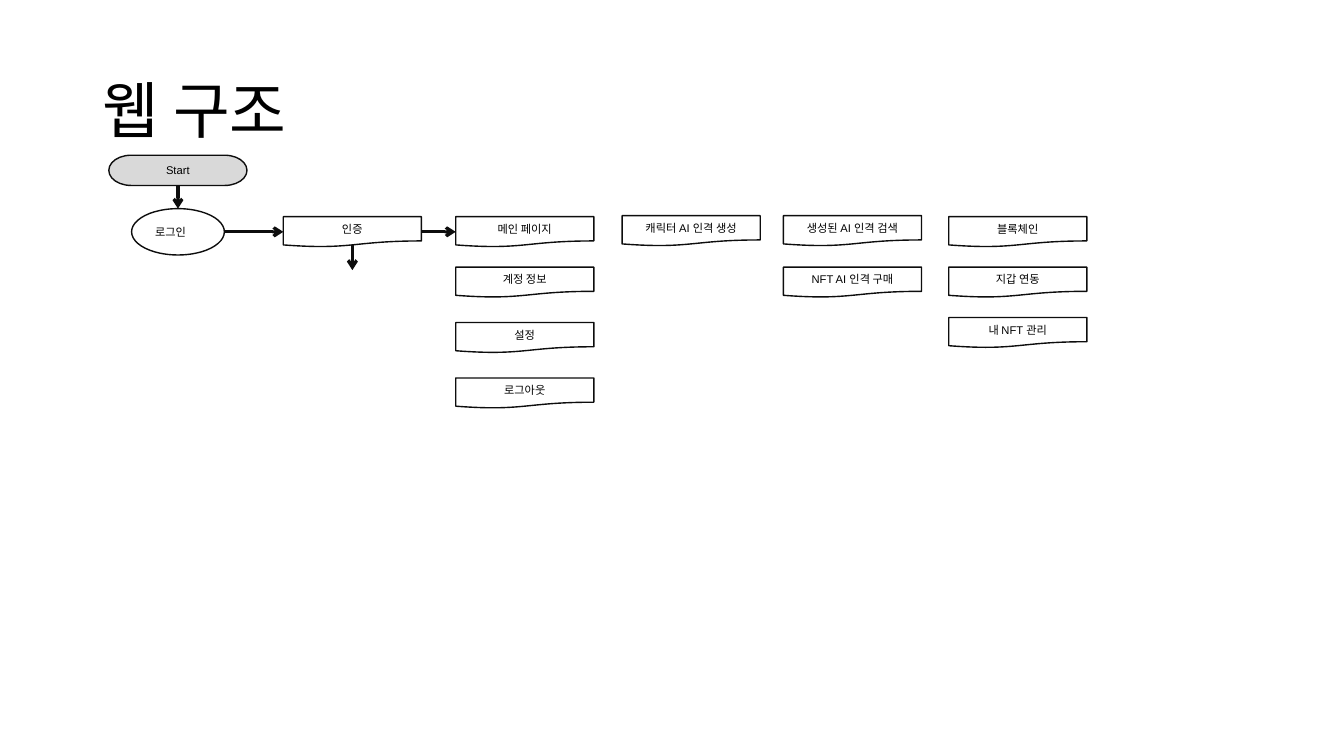
from dataclasses import dataclass

from lxml import etree
from pptx import Presentation
from pptx.dml.color import RGBColor
from pptx.enum.shapes import MSO_CONNECTOR, MSO_SHAPE
from pptx.enum.text import MSO_ANCHOR, PP_ALIGN
from pptx.oxml.ns import qn
from pptx.util import Inches, Pt

STRAIGHT = MSO_CONNECTOR.STRAIGHT
TERMINATOR = MSO_SHAPE.FLOWCHART_TERMINATOR
CIRCLE = MSO_SHAPE.FLOWCHART_CONNECTOR
DOCUMENT = MSO_SHAPE.FLOWCHART_DOCUMENT
MIDDLE = MSO_ANCHOR.MIDDLE
LEFT = PP_ALIGN.LEFT
CENTER = PP_ALIGN.CENTER
TOP_SITE, LEFT_SITE, BOTTOM_SITE, RIGHT_SITE = range(4)


@dataclass(frozen=True)
class Theme:
    ink: RGBColor = RGBColor(0, 0, 0)
    outline: RGBColor = RGBColor(0x0D, 0x0D, 0x0D)
    paper: RGBColor = RGBColor(255, 255, 255)
    start_fill: RGBColor = RGBColor(0xD9, 0xD9, 0xD9)
    latin_font: str = "Arial"
    korean_font: str = "Noto Sans CJK KR"
    title_size: float = 44
    label_size: float = 8
    border_width: float = 1
    arrow_width: float = 2.25


THEME = Theme()
NODE_WIDTH, NODE_HEIGHT = 1.37, 0.3
PAGE_COLUMNS = [
    (3.44, [(0.61, "메인 페이지"), (1.11, "계정 정보"), (1.66, "설정"), (2.21, "로그아웃")]),
    (5.09, [(0.6, "캐릭터 AI 인격 생성")]),
    (6.69, [(0.6, "생성된 AI 인격 검색"), (1.11, "NFT AI 인격 구매")]),
    (8.33, [(0.61, "블록체인"), (1.11, "지갑 연동"), (1.61, "내 NFT 관리")]),
]


def write_text(shape, text, size, font, align):
    frame = shape.text_frame
    frame.word_wrap = True
    frame.vertical_anchor = MIDDLE
    para = frame.paragraphs[0]
    para.alignment = align
    span = para.add_run()
    span.text = text
    span.font.size = Pt(size)
    span.font.name = font
    span.font.color.rgb = THEME.ink
    east_asian = etree.Element(qn("a:ea"), typeface=THEME.korean_font)
    span.font._element.find(qn("a:latin")).addnext(east_asian)
    return para


def add_title(page, box, text):
    title = page.shapes.add_textbox(*map(Inches, box))
    para = write_text(title, text, THEME.title_size, THEME.korean_font, LEFT)
    para.line_spacing = 0.9


def add_node(page, kind, box, text, fill=THEME.paper, font=THEME.latin_font, align=CENTER):
    node = page.shapes.add_shape(kind, *map(Inches, box))
    node.shadow.inherit = False
    node.fill.solid()
    node.fill.fore_color.rgb = fill
    node.line.color.rgb = THEME.outline
    node.line.width = Pt(THEME.border_width)
    write_text(node, text, THEME.label_size, font, align)
    return node


def add_arrow(page, start, end, source=None, target=None):
    arrow = page.shapes.add_connector(STRAIGHT, *map(Inches, start + end))
    if source:
        arrow.begin_connect(*source)
    if target:
        arrow.end_connect(*target)
    arrow.line.color.rgb = THEME.outline
    arrow.line.width = Pt(THEME.arrow_width)
    etree.SubElement(arrow.line._get_or_add_ln(), qn("a:tailEnd"), type="arrow")
    etree.SubElement(arrow._element.spPr, qn("a:effectLst"))


def add_page_columns(page, left, top):
    return [
        add_node(page, DOCUMENT, (left + column, top + row, NODE_WIDTH, NODE_HEIGHT), label)
        for column, entries in PAGE_COLUMNS
        for row, label in entries
    ]


def add_login_flow(page, left, top, main_page):
    middle = left + NODE_WIDTH / 2
    axis = top + 0.76
    login_width, login_height = 0.92, 0.46
    login_left = middle - login_width / 2
    login_top = axis - login_height / 2
    auth_left = left + 1.73
    auth_top = axis - NODE_HEIGHT / 2
    auth_middle = auth_left + NODE_WIDTH / 2
    auth_bottom = auth_top + NODE_HEIGHT

    start = add_node(page, TERMINATOR, (left, top, NODE_WIDTH, NODE_HEIGHT),
                     "Start", fill=THEME.start_fill)
    login = add_node(page, CIRCLE, (login_left, login_top, login_width, login_height),
                     "로그인", font=THEME.korean_font, align=LEFT)
    auth = add_node(page, DOCUMENT, (auth_left, auth_top, NODE_WIDTH, NODE_HEIGHT), "인증")

    add_arrow(page, (middle, top + NODE_HEIGHT), (middle, login_top),
              (start, BOTTOM_SITE), (login, TOP_SITE))
    add_arrow(page, (login_left + login_width, axis), (auth_left, axis),
              target=(auth, LEFT_SITE))
    add_arrow(page, (auth_middle, auth_bottom - 0.02), (auth_middle, auth_bottom + 0.23))
    add_arrow(page, (auth_left + NODE_WIDTH, axis), (left + 3.44, axis),
              (auth, RIGHT_SITE), (main_page, LEFT_SITE))


def main():
    deck = Presentation()
    deck.slide_width = Inches(13.33)
    deck.slide_height = Inches(7.5)
    page = deck.slides.add_slide(deck.slide_layouts[6])
    add_title(page, (0.92, 0.4, 11.5, 1.45), "웹 구조")
    left, top = 1.08, 1.54
    page_nodes = add_page_columns(page, left, top)
    add_login_flow(page, left, top, page_nodes[0])
    deck.save("out.pptx")


if __name__ == "__main__":
    main()
